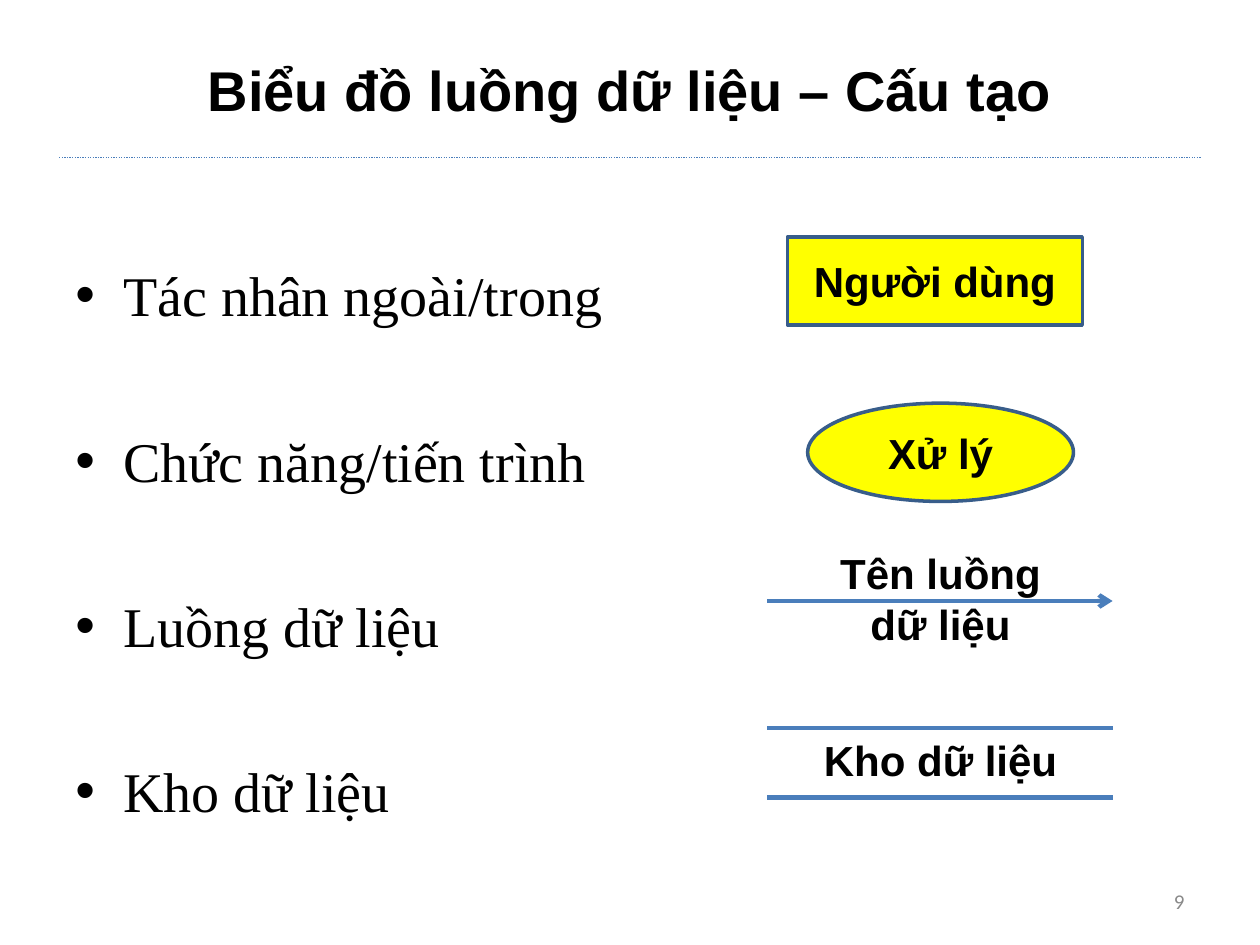
import collections
import pptx
import pptx.dml.color
import pptx.enum.dml
import pptx.enum.shapes
import pptx.enum.text
import pptx.oxml
import pptx.oxml.ns
import pptx.util
from lxml import etree

Box = collections.namedtuple("Box", "left top width height")

COLUMNS, ROWS = 100, 75
CELL = pptx.util.Inches(10) / COLUMNS

BLACK = pptx.dml.color.RGBColor(0x00, 0x00, 0x00)
GREY = pptx.dml.color.RGBColor(0x89, 0x89, 0x89)
YELLOW = pptx.dml.color.RGBColor(0xFF, 0xFF, 0x00)
OUTLINE = pptx.dml.color.RGBColor(0x38, 0x5D, 0x8A)
BLUE = pptx.dml.color.RGBColor(0x4A, 0x7E, 0xBB)

ALIGN = pptx.enum.text.PP_ALIGN
ANCHOR = pptx.enum.text.MSO_ANCHOR
SHAPE = pptx.enum.shapes.MSO_SHAPE

TITLE = {"name": "Arial", "size": pptx.util.Pt(32), "bold": True}
LABEL = {"name": "Arial", "size": pptx.util.Pt(24), "bold": True}
BODY = {"name": "Times New Roman", "size": pptx.util.Pt(32)}
NUMBER = {"name": "Calibri", "size": pptx.util.Pt(12)}

BULLETS = ["Tác nhân ngoài/trong", "Chức năng/tiến trình", "Luồng dữ liệu", "Kho dữ liệu"]


def cells(count):
    return pptx.util.Emu(round(count * CELL))


def inside(box, left, top, width, height):
    return Box(box.left + left, box.top + top, width, height)


def set_all(target, values):
    for name, value in values.items():
        setattr(target, name, value)


def write(para, text, font, color=BLACK, align=ALIGN.CENTER):
    para.alignment = align
    span = para.add_run()
    span.text = text
    set_all(span.font, font)
    span.font.color.rgb = color


def add_text_frame(slide, box, anchor=ANCHOR.TOP):
    frame = slide.shapes.add_textbox(*map(cells, box)).text_frame
    set_all(frame, {"word_wrap": True, "vertical_anchor": anchor})
    return frame


def add_line(slide, box, weight, dash=None, arrow=False):
    start, end = (box.left, box.top), (box.left + box.width, box.top + box.height)
    line = slide.shapes.add_connector(
        pptx.enum.shapes.MSO_CONNECTOR.STRAIGHT, *map(cells, start + end))
    line.line.color.rgb = BLUE
    set_all(line.line, {"width": pptx.util.Pt(weight), "dash_style": dash})
    qn = pptx.oxml.ns.qn
    if arrow:
        etree.SubElement(line.line._get_or_add_ln(), qn("a:tailEnd"), type="arrow")
    etree.SubElement(line._element.spPr, qn("a:effectLst"))


def add_symbol(slide, kind, box, text):
    symbol = slide.shapes.add_shape(kind, *map(cells, box))
    symbol.shadow.inherit = False
    symbol.fill.solid()
    symbol.fill.fore_color.rgb = YELLOW
    symbol.line.color.rgb = OUTLINE
    symbol.line.width = pptx.util.Pt(2)
    symbol.text_frame.vertical_anchor = ANCHOR.MIDDLE
    write(symbol.text_frame.paragraphs[0], text, LABEL)


def draw_title(slide, box):
    dots = pptx.enum.dml.MSO_LINE.ROUND_DOT
    add_line(slide, inside(box, -0.3, 10.2, box.width + 0.6, 0), 0.75, dash=dots)
    frame = add_text_frame(slide, box, ANCHOR.MIDDLE)
    write(frame.paragraphs[0], "Biểu đồ luồng dữ liệu – Cấu tạo", TITLE)


def draw_bullets(slide, box):
    frame = add_text_frame(slide, box)
    frame.margin_top = cells(7.4)
    indent = cells(3.8)
    for index, text in enumerate(BULLETS):
        para = frame.add_paragraph() if index else frame.paragraphs[0]
        if index:
            para.space_before = pptx.util.Pt(56)
        properties = para._p.get_or_add_pPr()
        properties.set("marL", str(indent))
        properties.set("indent", str(-indent))
        qn = pptx.oxml.ns.qn
        etree.SubElement(properties, qn("a:buFont"), typeface="Arial")
        etree.SubElement(properties, qn("a:buChar"), char="•")
        write(para, text, BODY, align=ALIGN.LEFT)


def draw_symbols(slide, box):
    add_symbol(slide, SHAPE.RECTANGLE, inside(box, 1.6, 0, 23.4, 7), "Người dùng")
    add_symbol(slide, SHAPE.OVAL, inside(box, 3.2, 13.2, 21.1, 7.8), "Xử lý")
    for top, arrow in [(28.9, True), (39, False), (44.5, False)]:
        add_line(slide, inside(box, 0, top, box.width, 0), 2.5, arrow=arrow)
    for top, height, text in [(39, 5, "Kho dữ liệu"), (24.2, 9, "Tên luồng dữ liệu")]:
        frame = add_text_frame(slide, inside(box, 2.4, top, 22.7, height))
        write(frame.paragraphs[0], text, LABEL)


def draw_page_number(slide, box):
    frame = add_text_frame(slide, box, ANCHOR.MIDDLE)
    write(frame.paragraphs[0], "9", NUMBER, GREY, ALIGN.RIGHT)


def main():
    deck = pptx.Presentation()
    deck.slide_width, deck.slide_height = cells(COLUMNS), cells(ROWS)
    slide = deck.slides.add_slide(deck.slide_layouts[6])
    draw_title(slide, Box(5, 2.3, 90, 9.5))
    draw_bullets(slide, Box(5, 13.3, 90, 54.7))
    draw_page_number(slide, Box(71.7, 69.5, 23.3, 4))
    draw_symbols(slide, Box(60.9, 18.8, 27.4, 44.5))
    deck.save("out.pptx")


if __name__ == "__main__":
    main()
